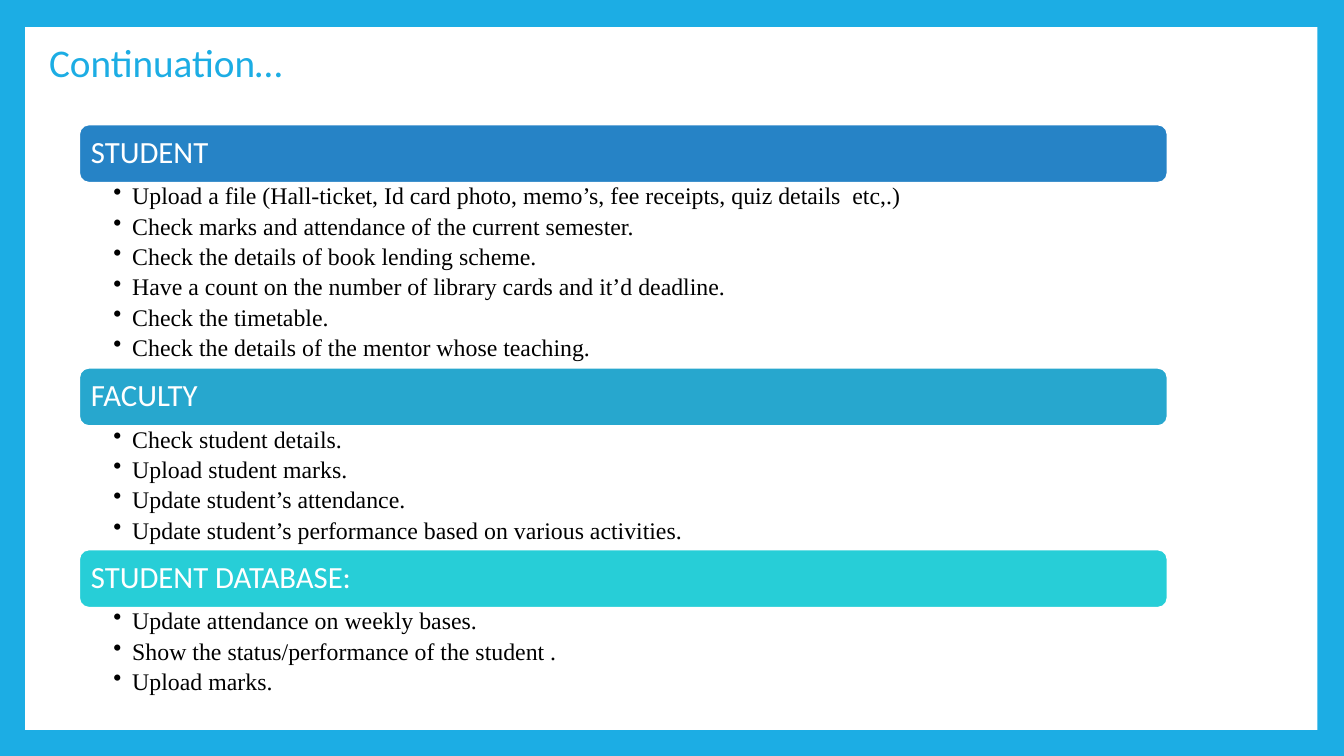
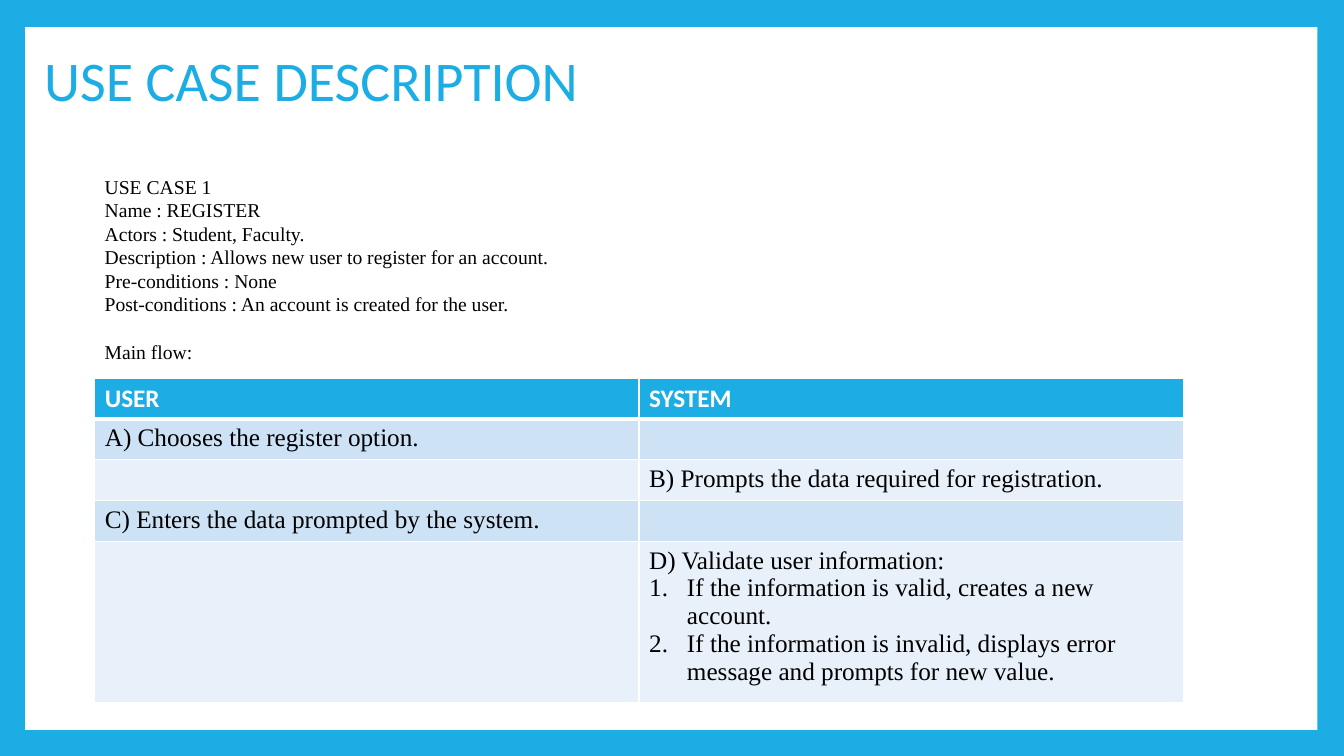
import pptx
import pptx.util
import pptx.dml.color
import pptx.enum.shapes
import pptx.enum.text
import pptx.oxml.ns
from lxml import etree

Pt = pptx.util.Pt
ANCHOR = pptx.enum.text.MSO_ANCHOR
SHAPE = pptx.enum.shapes.MSO_SHAPE
qn = pptx.oxml.ns.qn

COLORS = {
    "accent": "1CADE4", "white": "FFFFFF", "black": "000000",
    "student": "2683C6", "faculty": "27A7CE", "database": "27CED7",
    "odd_row": "CDE3F5", "even_row": "E8F1FA",
}
SANS, SERIF = "Calibri", "Times New Roman"
WIDTH, HEIGHT = 960, 540


# Shared helpers
def rgb(name):
    return pptx.dml.color.RGBColor.from_string(COLORS[name])


def set_fill(target, color):
    target.fill.solid()
    target.fill.fore_color.rgb = rgb(color)


def add_span(para, text, size, font, color, bold=False):
    span = para.add_run()
    span.text = text
    span.font.size, span.font.name, span.font.bold = Pt(size), font, bold
    span.font.color.rgb = rgb(color)


def add_bullet(para, indent, tag, **attributes):
    props = para._p.get_or_add_pPr()
    props.set("marL", str(Pt(indent)))
    props.set("indent", str(-Pt(indent)))
    etree.SubElement(props, qn(tag), attributes)


def add_para(frame, index):
    return frame.add_paragraph() if index else frame.paragraphs[0]


def set_frame(frame, anchor, insets=(7.2, 3.6, 7.2, 3.6)):
    frame.word_wrap = True
    frame.vertical_anchor = anchor
    (frame.margin_left, frame.margin_top,
     frame.margin_right, frame.margin_bottom) = map(Pt, insets)
    return frame


def add_text_box(page, box, anchor=ANCHOR.TOP, **options):
    shape = page.shapes.add_textbox(*map(Pt, box))
    return set_frame(shape.text_frame, anchor, **options)


def add_panel(page, kind, box, color):
    shape = page.shapes.add_shape(kind, *map(Pt, box))
    shape.shadow.inherit = False
    set_fill(shape, color)
    shape.line.fill.background()
    return shape


# Blue surround, white panel and title
def add_page(deck, title, box, size):
    page = deck.slides.add_slide(deck.slide_layouts[6])
    set_fill(page.background, "accent")
    add_panel(page, SHAPE.RECTANGLE, (18, 19.4, 923, 502), "white")
    para = add_text_box(page, box, ANCHOR.MIDDLE).paragraphs[0]
    para.line_spacing = 0.9
    add_span(para, title, size, SANS, "accent")
    return page


# Stack of heading bars, each followed by its bullets
def add_sections(page, box, sections):
    left, top, width = box
    bar_height, item_height = 41.8, 22
    for heading, color, items in sections:
        bar = add_panel(page, SHAPE.ROUNDED_RECTANGLE,
                        (left, top, width, bar_height), color)
        bar.line.color.rgb = rgb("white")
        bar.line.width = Pt(1.5)
        para = set_frame(bar.text_frame, ANCHOR.MIDDLE, (6.5,) * 4).paragraphs[0]
        para.alignment = pptx.enum.text.PP_ALIGN.LEFT
        para.line_spacing = 0.9
        add_span(para, heading, 22, SANS, "white")
        top += bar_height

        list_height = item_height * len(items)
        frame = add_text_box(page, (left, top, width, list_height),
                             insets=(24.5, 2.2, 12.2, 2.2))
        for index, item in enumerate(items):
            para = add_para(frame, index)
            para.line_spacing, para.space_after = Pt(16.9), Pt(4.8)
            add_bullet(para, 13.5, "a:buChar", char="•")
            add_span(para, item, 17, SERIF, "black")
        top += list_height


# Use case facts, with the flow caption set apart
def add_facts(page, box, facts, caption):
    frame = add_text_box(page, box)
    pitch = Pt(16.85)
    for index, fact in enumerate(facts + [caption]):
        para = add_para(frame, index)
        para.line_spacing = pitch
        if fact == caption:
            para.space_before = pitch
        add_span(para, fact, 14, SERIF, "black")


def add_borders(cell, top, bottom):
    props = cell._tc.get_or_add_tcPr()
    for side, width in (("L", 1), ("R", 1), ("T", top), ("B", bottom)):
        line = etree.SubElement(props, qn("a:ln" + side), w=str(Pt(width)))
        fill = etree.SubElement(line, qn("a:solidFill"))
        etree.SubElement(fill, qn("a:srgbClr"), val=COLORS["white"])


# Flow table: each cell is a list of lines, numbered after the first
def add_flow_table(page, box, header, steps, row_height, last_height):
    left, top, width = box
    rows = [[[text] for text in header]] + steps
    height = row_height * len(steps) + last_height
    table = page.shapes.add_table(len(rows), len(header), Pt(left), Pt(top),
                                  Pt(width), Pt(height)).table
    for column in table.columns:
        column.width = Pt(width / len(header))
    for r, row in enumerate(rows):
        table.rows[r].height = Pt(last_height if r == len(steps) else row_height)
        for c, lines in enumerate(row):
            cell = table.cell(r, c)
            add_borders(cell, 3 if r == 1 else 1, 3 if r == 0 else 1)
            set_fill(cell, "accent" if r == 0 else "odd_row" if r % 2 else "even_row")
            for index, line in enumerate(lines):
                para = add_para(cell.text_frame, index)
                if index:
                    add_bullet(para, 27, "a:buAutoNum", type="arabicPeriod")
                if r == 0:
                    add_span(para, line, 18, SANS, "white", bold=True)
                else:
                    add_span(para, line, 18, SERIF, "black")


deck = pptx.Presentation()
deck.slide_width, deck.slide_height = Pt(WIDTH), Pt(HEIGHT)

# Slide 1: what each role can do
page = add_page(deck, "Continuation…", (28, 23, 777.6, 46.8), 28)
add_sections(page, (56.5, 88.8, 777.6), [
    ("STUDENT", "student", [
        "Upload a file (Hall-ticket, Id card photo, memo’s, fee receipts, "
        "quiz details  etc,.)",
        "Check marks and attendance of the current semester.",
        "Check the details of book lending scheme.",
        "Have a count on the number of library cards and it’d deadline.",
        "Check the timetable.",
        "Check the details of the mentor whose teaching.",
    ]),
    ("FACULTY", "faculty", [
        "Check student details.",
        "Upload student marks.",
        "Update student’s attendance.",
        "Update student’s performance based on various activities.",
    ]),
    ("STUDENT DATABASE:", "database", [
        "Update attendance on weekly bases.",
        "Show the status/performance of the student .",
        "Upload marks.",
    ]),
])

# Slide 2: the register use case
page = add_page(deck, "USE CASE DESCRIPTION", (24.5, 24.5, 777.6, 70.6), 40)
add_flow_table(page, (67.7, 270, 777.6), ["USER", "SYSTEM"], [
    [["A) Chooses the register option."], []],
    [[], ["B) Prompts the data required for registration."]],
    [["C) Enters the data prompted by the system."], []],
    [[], ["D) Validate user information:",
          "If the information is valid, creates a new account.",
          "If the information is invalid, displays error message and "
          "prompts for new value."]],
], 29.2, 107)
add_facts(page, (67.7, 121, 734.4, 143.3), [
    "USE CASE 1",
    "Name : REGISTER",
    "Actors : Student, Faculty.",
    "Description : Allows new user to register for an account.",
    "Pre-conditions : None",
    "Post-conditions : An account is created for the user.",
], "Main flow:")

deck.save("out.pptx")
